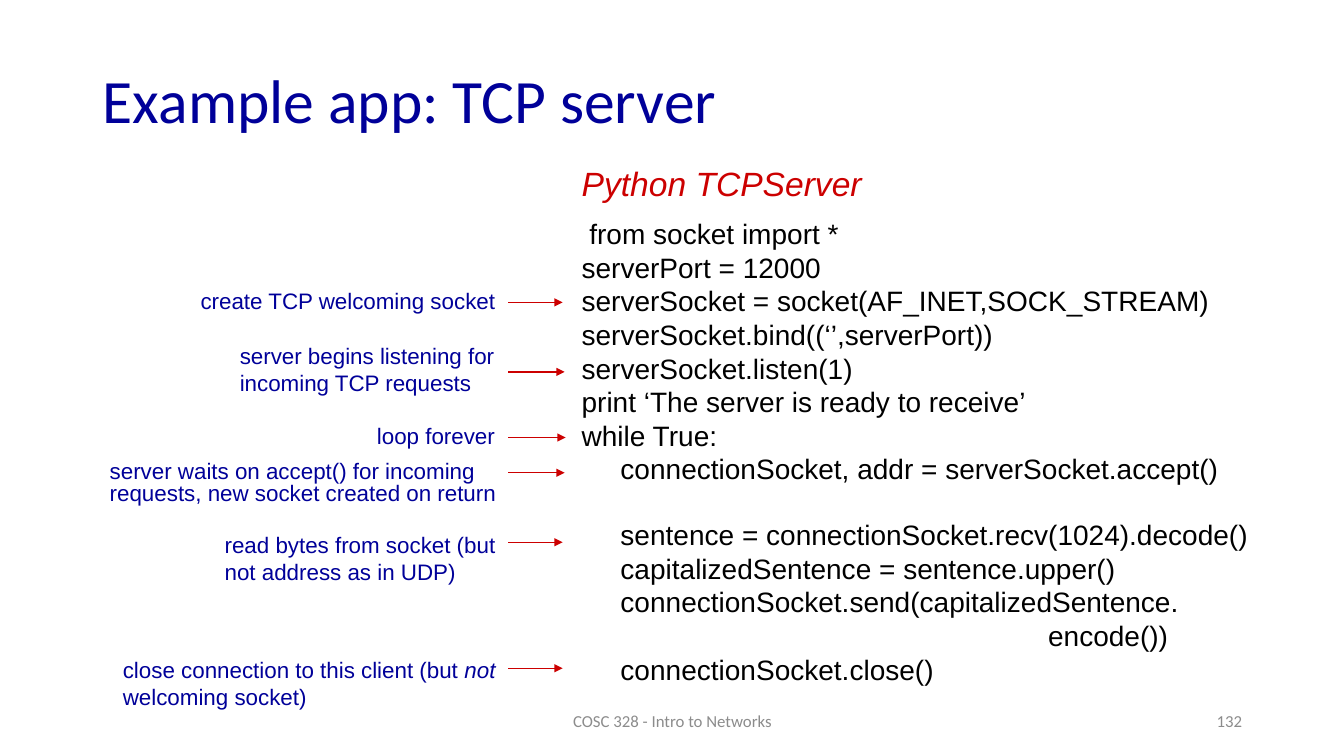
from dataclasses import dataclass

from lxml import etree
from pptx import Presentation
from pptx.dml.color import RGBColor
from pptx.enum.shapes import MSO_CONNECTOR
from pptx.enum.text import MSO_ANCHOR, MSO_AUTO_SIZE, PP_ALIGN
from pptx.oxml.ns import qn
from pptx.util import Inches, Pt

STRAIGHT = MSO_CONNECTOR.STRAIGHT
TOP, MIDDLE = MSO_ANCHOR.TOP, MSO_ANCHOR.MIDDLE
LEFT, CENTER, RIGHT = PP_ALIGN.LEFT, PP_ALIGN.CENTER, PP_ALIGN.RIGHT
NO_FIT = MSO_AUTO_SIZE.NONE


@dataclass(frozen=True)
class Theme:
    blue: str = "000099"
    red: str = "CC0000"
    black: str = "000000"
    grey: str = "8C8C8C"
    heading_font: str = "Calibri"
    body_font: str = "Arial"
    title_size: int = 44
    subtitle_size: int = 24
    code_size: int = 20
    note_size: int = 16
    footer_size: int = 12
    blank_line: int = 23
    arrow_width: int = 1


THEME = Theme()

TITLE = "Example app: TCP server"
SUBTITLE = "Python TCPServer"
COURSE = "COSC 328 - Intro to Networks"
PAGE = "132"

SETUP_CODE = [
    " from socket import *",
    "serverPort = 12000",
    "serverSocket = socket(AF_INET,SOCK_STREAM)",
    "serverSocket.bind((‘’,serverPort))",
    "serverSocket.listen(1)",
    "print ‘The server is ready to receive’",
    "while True:",
    "     connectionSocket, addr = serverSocket.accept()",
]
REPLY_CODE = [
    "     sentence = connectionSocket.recv(1024).decode()",
    "     capitalizedSentence = sentence.upper()",
    "     connectionSocket.send(capitalizedSentence.",
    "                                                            encode())",
    "     connectionSocket.close()",
]

NOTES = [
    {"text": "create TCP welcoming socket",
     "box": (1.89, 2.8, 3.35, 0.37), "arrow_y": 3.0, "arrow_end": 5.58},
    {"text": "server begins listening for incoming TCP requests",
     "box": (2.28, 3.35, 3.14, 0.64), "arrow_y": 3.69, "arrow_end": 5.6},
    {"text": "loop forever", "leading": 16,
     "box": (3.64, 4.18, 2.03, 0.33), "arrow_y": 4.34, "arrow_end": 5.61},
    {"text": "server waits on accept() for incoming requests, "
             "new socket created on return", "leading": 16,
     "box": (0.99, 4.53, 4.67, 0.55), "arrow_y": 4.69, "arrow_end": 5.6},
    {"text": "read bytes from socket (but not address as in UDP)",
     "box": (2.13, 5.22, 3, 0.64), "arrow_y": 5.38, "arrow_end": 5.58},
    {"text": "close connection to this client (but *not* welcoming socket)",
     "box": (1.12, 6.46, 4.27, 0.64), "arrow_y": 6.63, "arrow_end": 5.58},
]
ARROW_START = 5.04
CODE_LEFT = 5.67


def write(frame, lines, *, size, color, font=THEME.body_font, italic=False,
          align=LEFT, anchor=TOP, wrap=True, leading=None, gaps=None,
          emphasis=None):
    frame.word_wrap = wrap
    frame.auto_size = NO_FIT
    frame.vertical_anchor = anchor
    for index, line in enumerate(lines):
        paragraph = frame.paragraphs[0] if index == 0 else frame.add_paragraph()
        paragraph.alignment = align
        if leading:
            paragraph.line_spacing = Pt(leading)
        if gaps and index in gaps:
            paragraph.space_before = Pt(gaps[index])
        pieces = line.split(emphasis) if emphasis else [line]
        for position, piece in enumerate(pieces):
            run = paragraph.add_run()
            run.text = piece
            run.font.name = font
            run.font.size = Pt(size)
            run.font.color.rgb = RGBColor.from_string(color)
            run.font.italic = italic or position % 2 == 1


def add_text(slide, box, lines, **style):
    frame = slide.shapes.add_textbox(*map(Inches, box)).text_frame
    write(frame, lines, **style)


def add_arrow(slide, end, y):
    arrow = slide.shapes.add_connector(
        STRAIGHT, Inches(ARROW_START), Inches(y), Inches(end), Inches(y))
    arrow.line.color.rgb = RGBColor.from_string(THEME.red)
    arrow.line.width = Pt(THEME.arrow_width)
    etree.SubElement(arrow.line._get_or_add_ln(), qn("a:tailEnd"), type="triangle")
    etree.SubElement(arrow._element.spPr, qn("a:effectLst"))


def main():
    deck = Presentation()
    deck.slide_width, deck.slide_height = Inches(13.33), Inches(7.5)
    slide = deck.slides.add_slide(deck.slide_layouts[5])

    title = slide.shapes.title
    title.left, title.top = Inches(0.92), Inches(0.49)
    title.width, title.height = Inches(11.5), Inches(0.98)
    write(title.text_frame, [TITLE], size=THEME.title_size, color=THEME.blue,
          font=THEME.heading_font, anchor=MIDDLE)

    add_text(slide, (CODE_LEFT, 2.1, 6.88, 5.2), SETUP_CODE + REPLY_CODE,
             size=THEME.code_size, color=THEME.black, wrap=False,
             gaps={len(SETUP_CODE): THEME.blank_line})
    add_text(slide, (CODE_LEFT, 1.57, 3.09, 0.51), [SUBTITLE],
             size=THEME.subtitle_size, color=THEME.red, italic=True, wrap=False)

    for note in NOTES:
        add_text(slide, note["box"], [note["text"]], size=THEME.note_size,
                 color=THEME.blue, leading=note.get("leading"), emphasis="*")
        add_arrow(slide, note["arrow_end"], note["arrow_y"])

    footer_style = {"size": THEME.footer_size, "color": THEME.grey,
                    "font": THEME.heading_font, "anchor": MIDDLE}
    add_text(slide, (4.42, 6.95, 4.5, 0.4), [COURSE], align=CENTER, **footer_style)
    add_text(slide, (9.42, 6.95, 3, 0.4), [PAGE], align=RIGHT, **footer_style)

    deck.save("out.pptx")


if __name__ == "__main__":
    main()
